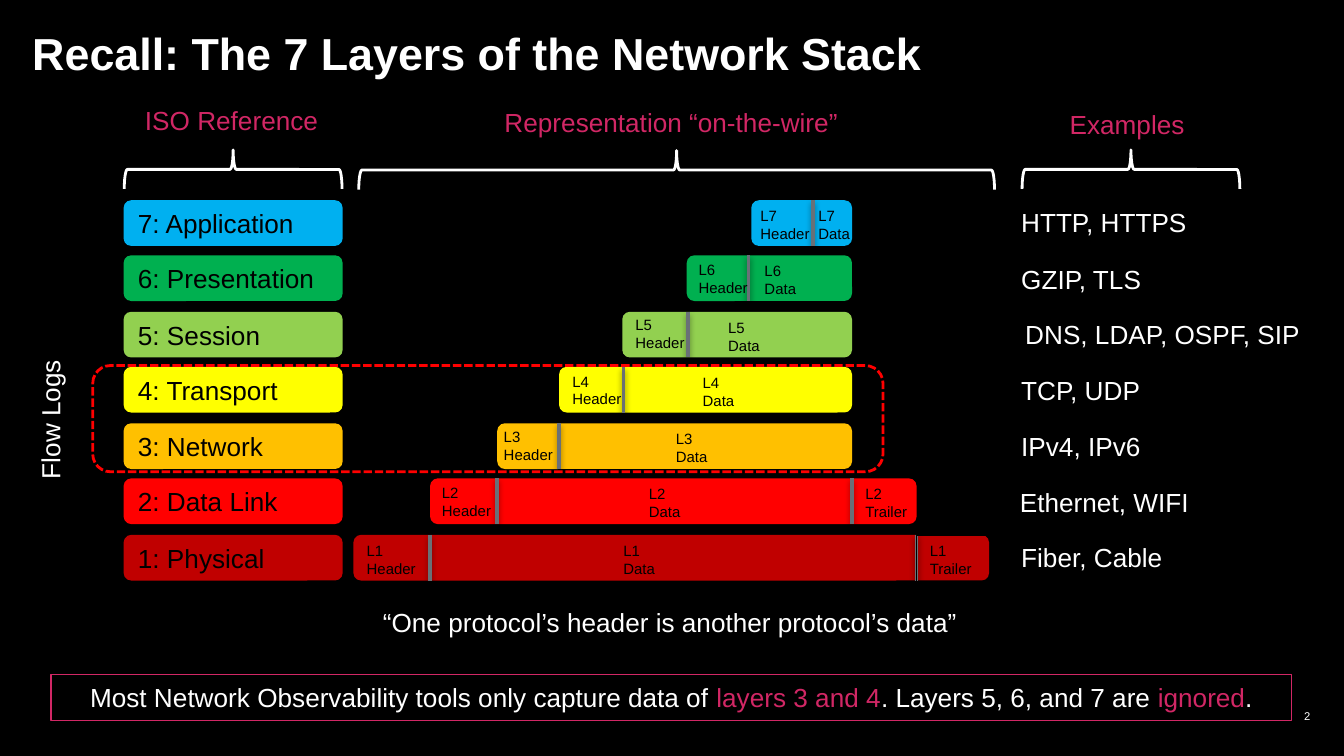
from dataclasses import dataclass

from lxml import etree
from pptx import Presentation
from pptx.dml.color import RGBColor
from pptx.enum.dml import MSO_LINE_DASH_STYLE as Dash
from pptx.enum.shapes import MSO_CONNECTOR as Connector, MSO_SHAPE as Preset
from pptx.enum.text import MSO_ANCHOR as Anchor, MSO_AUTO_SIZE as AutoSize, PP_ALIGN as Align
from pptx.oxml.ns import qn
from pptx.util import Emu, Pt

EMU_PER_PX = 9144
FONT = "Arial"
BAR_HEIGHT = 34
COLORS = {
    "black": "000000", "white": "FFFFFF", "pink": "D12765", "grey": "697077",
    "physical": "C00000", "red": "FF0000", "orange": "FFC000", "yellow": "FFFF00",
    "lime": "92D050", "green": "00B050", "blue": "00B0F0",
}


@dataclass(frozen=True)
class Layer:
    number: int
    name: str
    color: str
    left: int
    right: int
    split: int
    header_left: int
    header_lift: int
    data_left: int
    example: str
    example_left: int
    example_width: int
    trailer: int | None = None

    @property
    def top(self) -> int:
        return 149 + (7 - self.number) * 83 // 2

    @property
    def example_top(self) -> int:
        return 149 + ((7 - self.number) * 83 + 1) // 2


@dataclass(frozen=True)
class Heading:
    text: str
    left: int
    top: int
    width: int
    align: Align
    brace_left: int
    brace_width: int


LAYERS = [
    Layer(7, "Application", "blue", 559, 634, 605, 556, 0, 599, "HTTP, HTTPS", 750, 146),
    Layer(6, "Presentation", "green", 511, 634, 557, 510, 1, 559, "GZIP, TLS", 750, 112),
    Layer(5, "Session", "lime", 463, 634, 512, 463, 2, 532, "DNS, LDAP, OSPF, SIP", 753, 228),
    Layer(4, "Transport", "yellow", 416, 634, 464, 416, 1, 513, "TCP, UDP", 750, 111),
    Layer(3, "Network", "orange", 370, 634, 416, 365, 2, 493, "IPv4, IPv6", 750, 112),
    Layer(2, "Data Link", "red", 320, 682, 370, 319, 1, 473, "Ethernet, WIFI", 749, 148, 634),
    Layer(1, "Physical", "physical", 263, 736, 320, 263, 0, 454, "Fiber, Cable", 750, 146, 682),
]
HEADINGS = [
    Heading("ISO Reference", 98, 73, 152, Align.LEFT, 93, 162),
    Heading("Representation “on-the-wire”", 263, 74, 473, Align.CENTER, 267, 473),
    Heading("Examples", 786, 76, 108, Align.LEFT, 761, 162),
]
MESSAGE = [
    ("Most Network Observability tools only capture data of ", "white"),
    ("layers 3 and 4", "pink"),
    (". Layers 5, 6, and 7 are ", "white"),
    ("ignored", "pink"),
    (".", "white"),
]


def px(value: int) -> Emu:
    return Emu(value * EMU_PER_PX)


def rgb(name: str) -> RGBColor:
    return RGBColor.from_string(COLORS[name])


def style_span(span, size: int, color: str, bold: bool = False) -> None:
    span.font.name = FONT
    span.font.size = Pt(size)
    span.font.bold = bold
    span.font.color.rgb = rgb(color)


def set_text(shape, text: str, size: int, color: str, align: Align = Align.LEFT,
             bold: bool = False) -> None:
    shape.text_frame.text = text
    for para in shape.text_frame.paragraphs:
        para.alignment = align
        for span in para.runs:
            style_span(span, size, color, bold)


def set_insets(frame, left: int, other: int) -> None:
    frame.margin_left = px(left)
    frame.margin_top = frame.margin_right = frame.margin_bottom = px(other)


def add_text(page, text: str, left: int, top: int, width: int, height: int = 34,
             size: int = 14, color: str = "white", align: Align = Align.LEFT,
             bold: bool = False, grow: bool = True):
    box = page.shapes.add_textbox(px(left), px(top), px(width), px(height))
    frame = box.text_frame
    frame.word_wrap = True
    if grow:
        frame.auto_size = AutoSize.SHAPE_TO_FIT_TEXT
    else:
        set_insets(frame, 0, 0)
    set_text(box, text, size, color, align, bold)
    return box


def add_shape(page, preset: Preset, left: int, top: int, width: int, height: int,
              fill: str | None = None, line: str | None = None, weight: float = 1.5):
    shape = page.shapes.add_shape(preset, px(left), px(top), px(width), px(height))
    shape.shadow.inherit = False
    if fill:
        shape.fill.solid()
        shape.fill.fore_color.rgb = rgb(fill)
    else:
        shape.fill.background()
    if line:
        shape.line.color.rgb = rgb(line)
        shape.line.width = Pt(weight)
    else:
        shape.line.fill.background()
    return shape


def add_separator(page, x: int, top: int) -> None:
    line = page.shapes.add_connector(Connector.STRAIGHT, px(x), px(top), px(x), px(top + BAR_HEIGHT))
    line.line.color.rgb = rgb("grey")
    line.line.width = Pt(2)
    effects = etree.SubElement(line._element.spPr, qn("a:effectLst"))
    shadow = etree.SubElement(effects, qn("a:outerShdw"), blurRad=str(Pt(3.1)),
                              dist=str(Pt(1.6)), dir="5400000", rotWithShape="0")
    shade = etree.SubElement(shadow, qn("a:srgbClr"), val=COLORS["black"])
    etree.SubElement(shade, qn("a:alpha"), val="38000")


def add_layer(page, layer: Layer) -> None:
    top = layer.top
    name = add_shape(page, Preset.ROUNDED_RECTANGLE, 92, top, 163, BAR_HEIGHT, layer.color)
    set_insets(name.text_frame, 9, 4)
    set_text(name, f"{layer.number}: {layer.name}", 14, "black")
    add_shape(page, Preset.ROUNDED_RECTANGLE, layer.left, top, layer.right - layer.left,
              BAR_HEIGHT, layer.color)
    parts = [("Header", layer.header_left, top - layer.header_lift), ("Data", layer.data_left, top)]
    add_separator(page, layer.split, top)
    if layer.trailer:
        add_separator(page, layer.trailer, top)
        parts.append(("Trailer", layer.trailer, top))
    for part, left, label_top in parts:
        label = add_text(page, f"L{layer.number}\n{part}", left, label_top, 57, 37, 8, "black")
        if part == "Trailer" and layer.number == 1:
            label.line.color.rgb = rgb("black")
            label.line.width = Pt(0.75)
    add_text(page, layer.example, layer.example_left, layer.example_top, layer.example_width)


def add_heading(page, heading: Heading) -> None:
    add_text(page, heading.text, heading.left, heading.top, heading.width,
             color="pink", align=heading.align)
    depth, middle = 29, 126
    brace = add_shape(page, Preset.LEFT_BRACE,
                      heading.brace_left + (heading.brace_width - depth) // 2,
                      middle - heading.brace_width // 2, depth, heading.brace_width, line="white")
    brace.rotation = 90
    brace._element.spPr.xfrm.set("flipV", "1")
    brace.adjustments[0] = 0.08
    brace.adjustments[1] = 0.5


def main() -> None:
    deck = Presentation()
    deck.slide_width = px(1000)
    deck.slide_height = Emu(deck.slide_width * 9 // 16)
    page = deck.slides.add_slide(deck.slide_layouts[6])
    page.background.fill.solid()
    page.background.fill.fore_color.rgb = rgb("black")

    title = add_text(page, "Recall: The 7 Layers of the Network Stack", 24, 24, 813, 40,
                     size=24, bold=True, grow=False)
    title.text_frame.paragraphs[0].line_spacing = 0.9
    number = add_text(page, "2", 775, 524, 200, 18, size=6, align=Align.RIGHT, grow=False)
    number.text_frame.vertical_anchor = Anchor.MIDDLE

    for layer in LAYERS:
        add_layer(page, layer)
    for heading in HEADINGS:
        add_heading(page, heading)

    add_text(page, "“One protocol’s header is another protocol’s data”", 275, 446, 451)
    message = add_shape(page, Preset.RECTANGLE, 38, 502, 923, 34, line="pink", weight=0.75)
    para = message.text_frame.paragraphs[0]
    para.alignment = Align.CENTER
    for text, color in MESSAGE:
        span = para.add_run()
        span.text = text
        style_span(span, 14, color)

    frame = add_shape(page, Preset.ROUNDED_RECTANGLE, 69, 272, 588, 79, line="red")
    frame.line.dash_style = Dash.SQUARE_DOT
    add_text(page, "Flow Logs", -17, 295, 109).rotation = 270
    deck.save("out.pptx")


if __name__ == "__main__":
    main()
